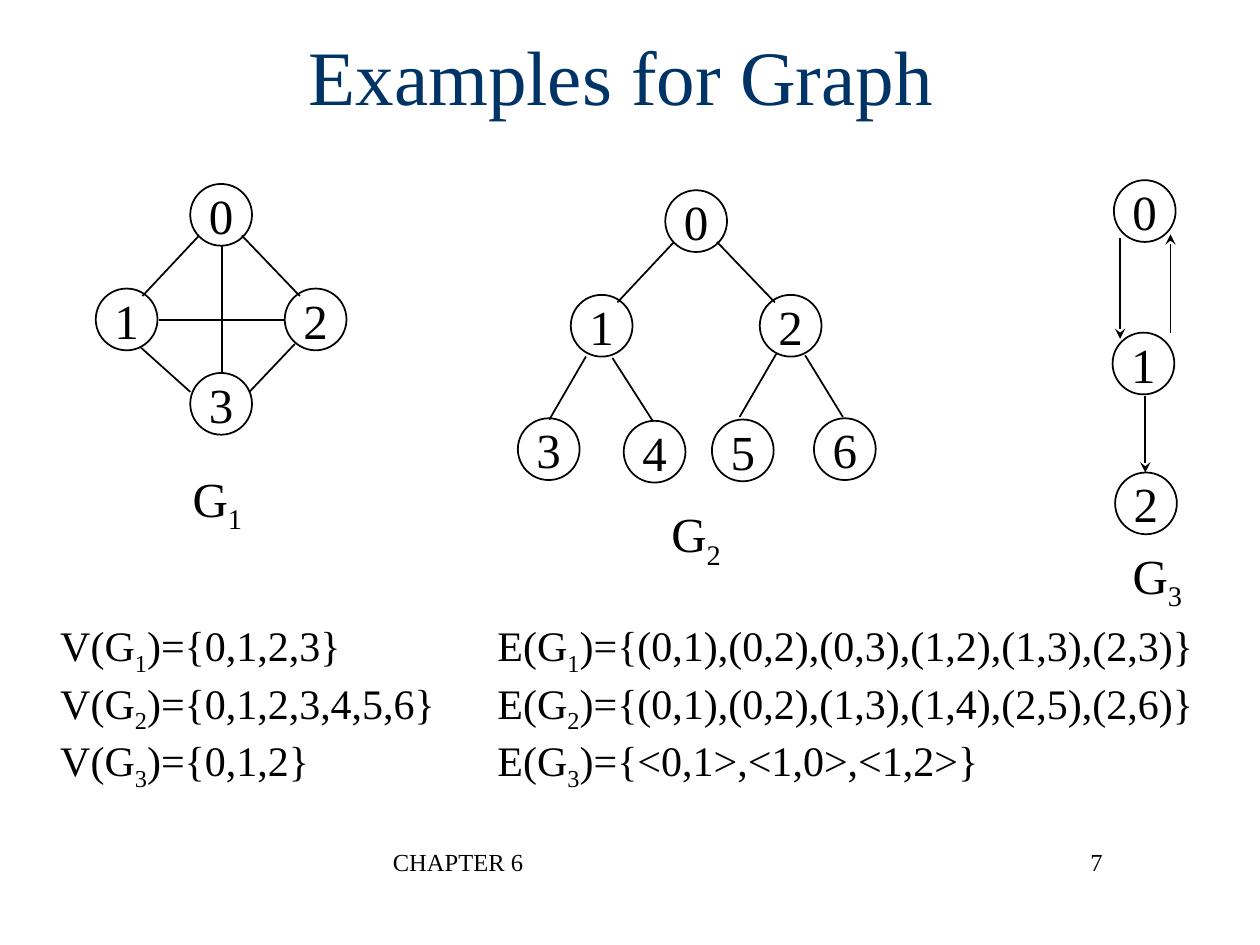
"""Build a slide with three example graphs and their vertex and edge sets."""
from lxml import etree
from pptx import Presentation
from pptx.dml.color import RGBColor
from pptx.enum import shapes, text
from pptx.oxml.ns import qn
from pptx.util import Inches, Pt

BLACK = RGBColor(0, 0, 0)
WHITE = RGBColor(255, 255, 255)
NAVY = RGBColor(0, 0x33, 0x66)
FONT = "Times New Roman"
SIZE = 0.49
LEFT, MID, RIGHT = text.PP_ALIGN.LEFT, text.PP_ALIGN.CENTER, text.PP_ALIGN.RIGHT

GRAPHS = [
    {
        "name": "G_1",
        "label": (1.43, 3.67),
        "nodes": [(1.51, 1.46), (0.76, 2.29), (2.26, 2.29), (1.51, 2.96)],
        "edges": [
            (1.76, 1.95, 1.76, 2.95), (1.26, 2.54, 2.26, 2.54),
            (1.58, 1.87, 1.13, 2.35), (1.92, 1.87, 2.38, 2.35),
            (1.12, 2.76, 1.51, 3.11), (2.34, 2.73, 1.98, 3.11),
        ],
        "arrow": False,
    },
    {
        "name": "G_2",
        "label": (5.23, 3.95),
        "nodes": [(5.28, 1.51), (4.53, 2.34), (6.03, 2.34), (4.11, 3.32),
                  (4.95, 3.34), (5.65, 3.33), (6.46, 3.32)],
        "edges": [
            (5.35, 1.92, 4.9, 2.4), (5.69, 1.92, 6.15, 2.4),
            (4.65, 2.83, 4.36, 3.33), (4.86, 2.84, 5.18, 3.34),
            (6.16, 2.81, 5.87, 3.31), (6.39, 2.82, 6.69, 3.31),
        ],
        "arrow": False,
    },
    {
        "name": "G_3",
        "label": (8.89, 4.28),
        "nodes": [(8.84, 1.43), (8.83, 2.64), (8.85, 3.75)],
        "edges": [
            (9.09, 3.14, 9.09, 3.75), (9.29, 2.64, 9.29, 1.86),
            (8.89, 1.89, 8.89, 2.69),
        ],
        "arrow": True,
    },
]

SETS = [
    "V(G_1)={0,1,2,3}\tE(G_1)={(0,1),(0,2),(0,3),(1,2),(1,3),(2,3)}",
    "V(G_2)={0,1,2,3,4,5,6}\tE(G_2)={(0,1),(0,2),(1,3),(1,4),(2,5),(2,6)}",
    "V(G_3)={0,1,2}\tE(G_3)={<0,1>,<1,0>,<1,2>}",
]


def add_run(par, words, low=False):
    """Add a run, lowered as a subscript on request."""
    run = par.add_run()
    run.text = words
    if low:
        run.font._element.set("baseline", "-25000")


def write(shape, *lines, size=28, color=BLACK, align=LEFT, wrap=True,
          anchor=text.MSO_ANCHOR.TOP, tab=None):
    """Write lines into a shape; the letter after each underscore is lowered."""
    frame = shape.text_frame
    frame.word_wrap = wrap
    frame.auto_size = text.MSO_AUTO_SIZE.NONE
    frame.vertical_anchor = anchor
    for i, line in enumerate(lines):
        par = frame.add_paragraph() if i else frame.paragraphs[0]
        par.alignment = align
        if tab:
            stops = etree.SubElement(par._p.get_or_add_pPr(), qn("a:tabLst"))
            etree.SubElement(stops, qn("a:tab"), pos=str(Inches(tab)), algn="l")
        first, *rest = line.split("_")
        add_run(par, first)
        for part in rest:
            add_run(par, part[0], low=True)
            if part[1:]:
                add_run(par, part[1:])
        for run in par.runs:
            run.font.name = FONT
            run.font.size = Pt(size)
            run.font.color.rgb = color


def add_box(home, x, y, w, h, *lines, **style):
    """Add a text box."""
    box = home.add_textbox(Inches(x), Inches(y), Inches(w), Inches(h))
    write(box, *lines, **style)


def add_node(home, x, y, name):
    """Add a round vertex with its number."""
    node = home.add_shape(shapes.MSO_SHAPE.OVAL, Inches(x), Inches(y),
                          Inches(SIZE), Inches(SIZE))
    node.shadow.inherit = False
    node.fill.solid()
    node.fill.fore_color.rgb = WHITE
    node.line.color.rgb = BLACK
    node.line.width = Pt(1)
    write(node, name, align=MID, wrap=False, anchor=text.MSO_ANCHOR.MIDDLE)


def add_edge(home, ends, arrow):
    """Add a straight edge, with an arrowhead if directed."""
    edge = home.add_connector(shapes.MSO_CONNECTOR.STRAIGHT, *map(Inches, ends))
    edge.line.color.rgb = BLACK
    edge.line.width = Pt(1)
    if arrow:
        etree.SubElement(edge.line._get_or_add_ln(), qn("a:tailEnd"), type="stealth")
    etree.SubElement(edge._element.spPr, qn("a:effectLst"))


def add_graph(slide, graph):
    """Add one graph as a group, with its label."""
    home = slide.shapes.add_group_shape().shapes
    for i, (x, y) in enumerate(graph["nodes"]):
        add_node(home, x, y, str(i))
    for ends in graph["edges"]:
        add_edge(home, ends, graph["arrow"])
    add_box(slide.shapes, *graph["label"], 0.62, 0.57, graph["name"], wrap=False)


def add_title(slide, words):
    """Place and fill the title."""
    title = slide.shapes.title
    title.left, title.top = Inches(0.31), Inches(-0.03)
    title.width, title.height = Inches(9.24), Inches(1.25)
    write(title, words, size=44, color=NAVY, align=MID,
          anchor=text.MSO_ANCHOR.MIDDLE)


def main():
    """Build and save the slide."""
    deck = Presentation()
    deck.slide_width, deck.slide_height = Inches(10), Inches(7.5)
    slide = deck.slides.add_slide(deck.slide_layouts[5])
    add_title(slide, "Examples for Graph")
    for graph in GRAPHS:
        add_graph(slide, graph)
    add_box(slide.shapes, 0.38, 4.87, 9.37, 1.31, *SETS, size=24, tab=3.47)
    add_box(slide.shapes, 3.02, 6.67, 3.17, 0.5, "CHAPTER 6", size=14)
    add_box(slide.shapes, 6.77, 6.67, 2.08, 0.5, "7", size=14, align=RIGHT)
    deck.save("out.pptx")


if __name__ == "__main__":
    main()
